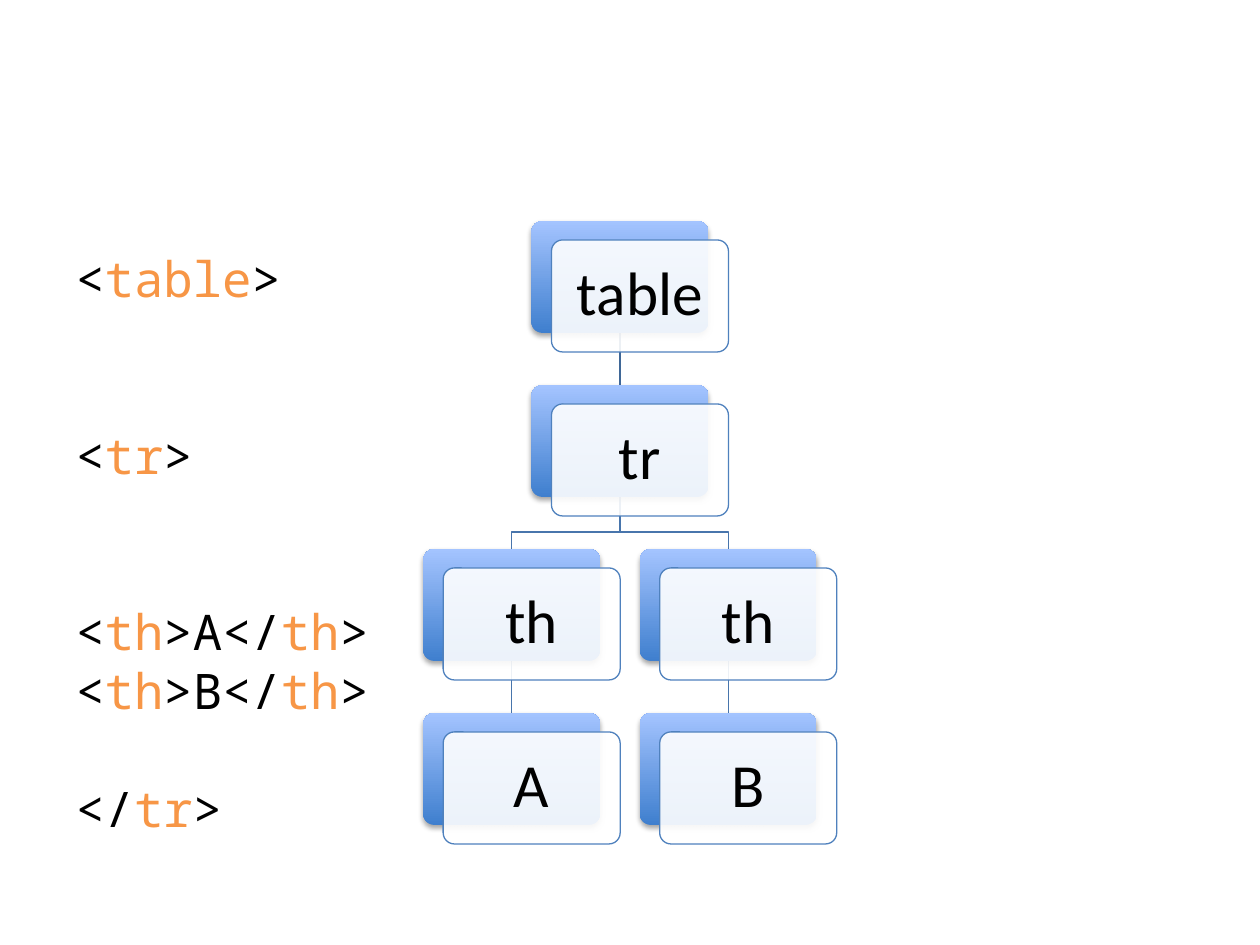
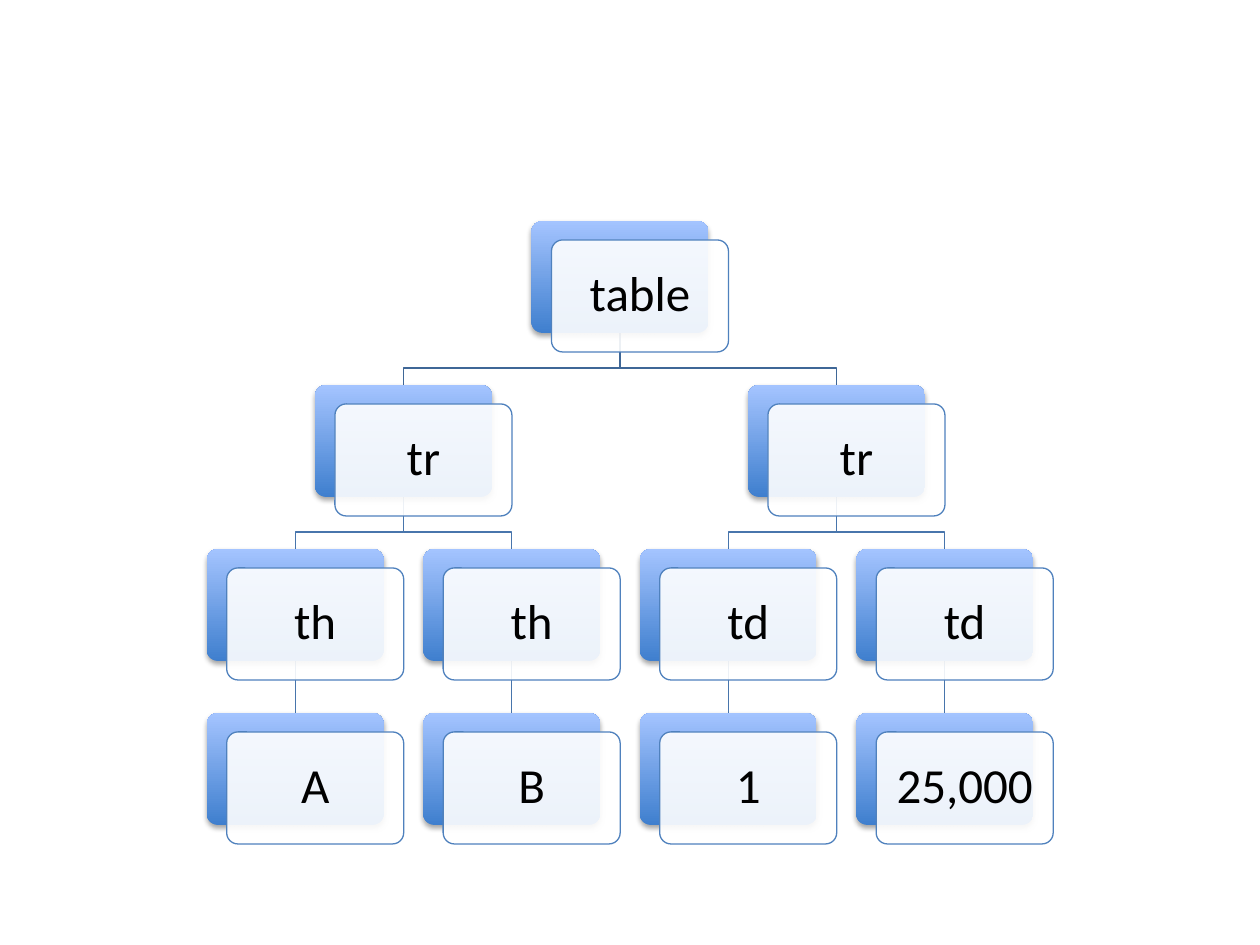
from lxml import etree
from pptx import Presentation
from pptx import util as u
from pptx.dml import color
from pptx.enum import shapes, text
from pptx.oxml import ns

HEADER_ROW = ("tr", [("th", [("A", [])]), ("th", [("B", [])])])
DATA_ROW = ("tr", [("td", [("1", [])]), ("td", [("25,000", [])])])

SLIDES = [
    {
        "tree": ("table", [HEADER_ROW]),
        "label_size": 35,
        "label_inset": 19,
        "markup": [
            (0, "<|table|>"),
            (2, "<|tr|>"),
            (2, "<|th|>A</|th|>"),
            (0, "<|th|>B</|th|>"),
            (1, "</|tr|>"),
        ],
    },
    {
        "tree": ("table", [HEADER_ROW, DATA_ROW]),
        "label_size": 28,
        "label_inset": 15,
        "markup": [],
    },
]

PX = u.Inches(1) / 126
SLIDE_W, SLIDE_H = 1260, 945
TREE_CENTER, TREE_TOP = 620, 221
LEAF_STEP, ROW_STEP = 433 / 2, 164
CARD_W, CARD_H = 177, 112
FRONT_DX, FRONT_DY = 20, 19
ELBOW_DROP = 35
MARKUP_BOX = (63, 237, 339, 645)
MARKUP_TOP_INSET = 12
MARKUP_SIZE, MARKUP_PITCH = 28, 33.6

BLACK, WHITE, TAG = "000000", "FFFFFF", "F79646"
CARD_BOTTOM, CARD_TOP, CARD_EDGE = "3F7FCE", "A4C4FF", "4F81BD"
ROOT_LINK, LOWER_LINK = "3F6797", "4875AC"


def px(length):
    return u.Emu(round(length * PX))


def rgb(value):
    return color.RGBColor.from_string(value)


def leaf_count(node):
    return sum(map(leaf_count, node[1])) or 1


def lay_out(node, left, depth=0):
    label, children = node
    cards, links, child_centers = [], [], []
    width = leaf_count(node) * LEAF_STEP
    center = left + width / 2
    for child in children:
        child_cards, child_links = lay_out(child, left, depth + 1)
        child_centers.append(child_cards[0][1])
        cards += child_cards
        links += child_links
        left += leaf_count(child) * LEAF_STEP
    links += [(center, child_center, depth) for child_center in child_centers]
    return [(label, center, depth)] + cards, links


def draw_link(slide, parent_x, child_x, depth):
    top = TREE_TOP + depth * ROW_STEP + CARD_H
    bottom = TREE_TOP + (depth + 1) * ROW_STEP
    if parent_x == child_x:
        link = slide.shapes.add_connector(
            shapes.MSO_CONNECTOR.STRAIGHT, px(parent_x), px(top), px(child_x), px(bottom))
        etree.SubElement(link._element.spPr, ns.qn("a:effectLst"))
    else:
        elbow = top + ELBOW_DROP
        builder = slide.shapes.build_freeform(px(parent_x), px(top))
        builder.add_line_segments(
            [(px(parent_x), px(elbow)), (px(child_x), px(elbow)), (px(child_x), px(bottom))],
            close=False)
        link = builder.convert_to_shape()
        link.fill.background()
        link.shadow.inherit = False
    link.line.color.rgb = rgb(ROOT_LINK if depth == 0 else LOWER_LINK)
    link.line.width = u.Pt(0.75)


def add_card(slide, left, top):
    card = slide.shapes.add_shape(
        shapes.MSO_SHAPE.ROUNDED_RECTANGLE, px(left), px(top), px(CARD_W), px(CARD_H))
    card.adjustments[0] = 0.1
    card.shadow.inherit = False
    return card


def draw_back(slide, left, top):
    back = add_card(slide, left, top)
    back.fill.gradient()
    back.fill.gradient_angle = 90
    for stop, position, shade in zip(back.fill.gradient_stops, (0, 1), (CARD_BOTTOM, CARD_TOP)):
        stop.position = position
        stop.color.rgb = rgb(shade)
    back.line.fill.background()
    effects = back._element.spPr.find(ns.qn("a:effectLst"))
    shadow = etree.SubElement(
        effects, ns.qn("a:outerShdw"), blurRad=str(u.Pt(3.1)), dist=str(u.Pt(1.8)),
        dir="5400000", rotWithShape="0")
    shade = etree.SubElement(shadow, ns.qn("a:srgbClr"), val=BLACK)
    etree.SubElement(shade, ns.qn("a:alpha"), val="35000")


def draw_front(slide, left, top, label, size, inset):
    front = add_card(slide, left, top)
    front.fill.solid()
    front.fill.fore_color.rgb = rgb(WHITE)
    tint = front._element.spPr.find(ns.qn("a:solidFill"))[0]
    etree.SubElement(tint, ns.qn("a:alpha"), val="90000")
    front.line.color.rgb = rgb(CARD_EDGE)
    front.line.width = u.Pt(0.75)
    frame = front.text_frame
    frame.word_wrap = False
    frame.vertical_anchor = text.MSO_ANCHOR.MIDDLE
    frame.margin_left = frame.margin_right = px(inset)
    frame.margin_top = frame.margin_bottom = px(inset)
    line = frame.paragraphs[0]
    line.text = label
    line.alignment = text.PP_ALIGN.CENTER
    line.line_spacing = 0.9
    line.font.name = "Calibri"
    line.font.size = u.Pt(size)
    line.font.color.rgb = rgb(BLACK)


def draw_tree(slide, tree, size, inset):
    start = TREE_CENTER - leaf_count(tree) * LEAF_STEP / 2
    cards, links = lay_out(tree, start)
    for link in links:
        draw_link(slide, *link)
    for label, center, depth in cards:
        left, top = center - CARD_W / 2, TREE_TOP + depth * ROW_STEP
        draw_back(slide, left, top)
        draw_front(slide, left + FRONT_DX, top + FRONT_DY, label, size, inset)


def draw_markup(slide, markup):
    frame = slide.shapes.add_textbox(*map(px, MARKUP_BOX)).text_frame
    frame.word_wrap = True
    frame.margin_top = px(MARKUP_TOP_INSET)
    for index, (skipped, code) in enumerate(markup):
        line = frame.add_paragraph() if index else frame.paragraphs[0]
        line.line_spacing = u.Pt(MARKUP_PITCH)
        line.space_before = u.Pt(skipped * MARKUP_PITCH)
        line.font.name = "Noto Sans Mono"
        line.font.size = u.Pt(MARKUP_SIZE)
        for position, part in enumerate(code.split("|")):
            run = line.add_run()
            run.text = part
            run.font.color.rgb = rgb(TAG if position % 2 else BLACK)


def main():
    deck = Presentation()
    deck.slide_width, deck.slide_height = px(SLIDE_W), px(SLIDE_H)
    for content in SLIDES:
        slide = deck.slides.add_slide(deck.slide_layouts[6])
        draw_tree(slide, content["tree"], content["label_size"], content["label_inset"])
        if content["markup"]:
            draw_markup(slide, content["markup"])
    deck.save("out.pptx")


if __name__ == "__main__":
    main()
